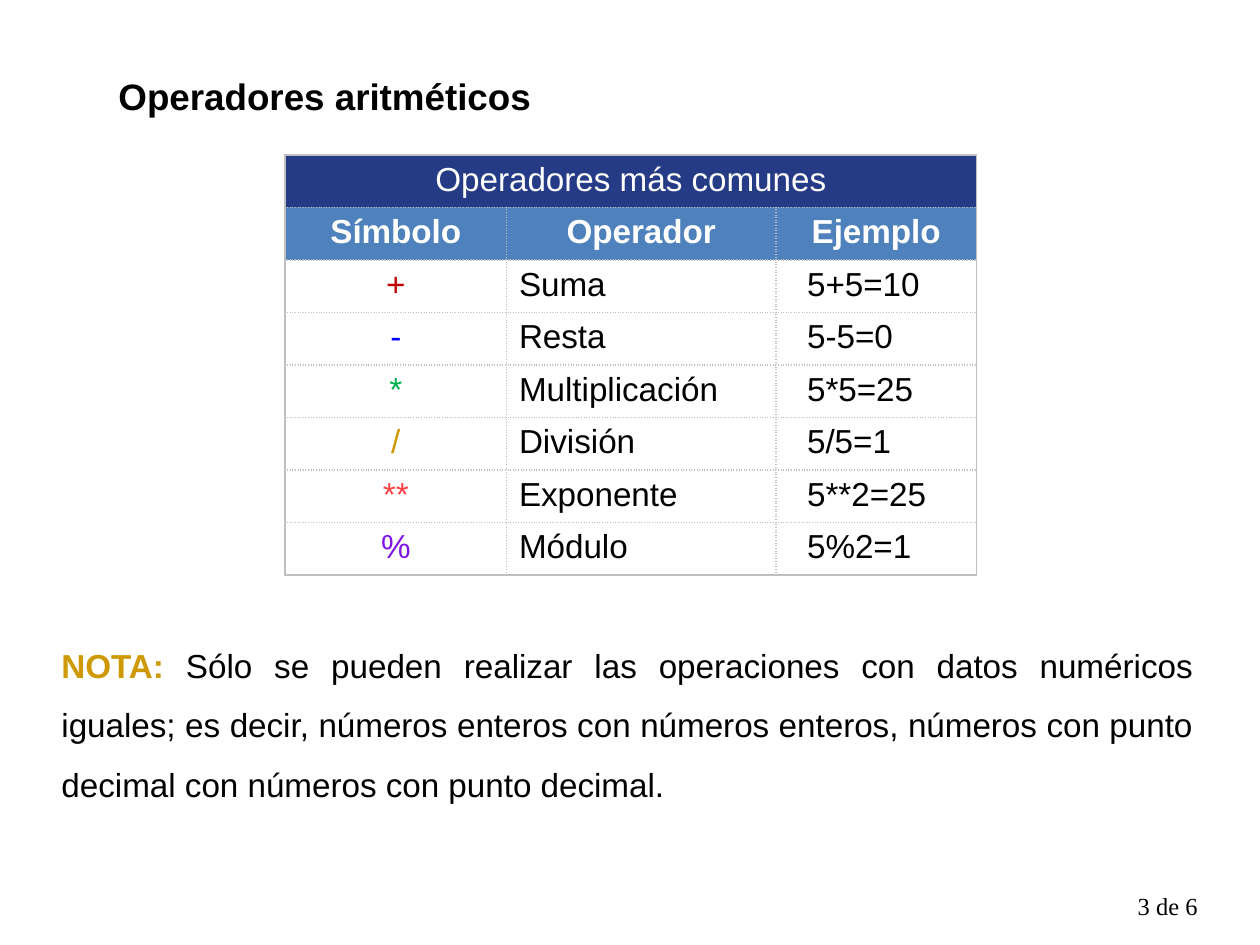
import pptx
import pptx.dml.color
import pptx.enum.text
import pptx.oxml
import pptx.oxml.ns
import pptx.util

Pt = pptx.util.Pt
RGB = pptx.dml.color.RGBColor
ALIGN = pptx.enum.text.PP_ALIGN
ANCHOR = pptx.enum.text.MSO_ANCHOR
FIT = pptx.enum.text.MSO_AUTO_SIZE

BLACK = RGB(0x00, 0x00, 0x00)
WHITE = RGB(0xFF, 0xFF, 0xFF)
NAVY = RGB(0x26, 0x3B, 0x86)
STEEL = RGB(0x4F, 0x81, 0xBD)
GREY = RGB(0xBF, 0xBF, 0xBF)
RED = RGB(0xC0, 0x00, 0x00)
BLUE = RGB(0x00, 0x00, 0xFF)
GREEN = RGB(0x00, 0xB0, 0x50)
GOLD = RGB(0xCF, 0x99, 0x04)
CORAL = RGB(0xFD, 0x42, 0x44)
PURPLE = RGB(0x7E, 0x13, 0xE3)

HEADS = ("Símbolo", "Operador", "Ejemplo")
ROWS = (
    ("+", RED, "Suma", "5+5=10"),
    ("-", BLUE, "Resta", "5-5=0"),
    ("*", GREEN, "Multiplicación", "5*5=25"),
    ("/", GOLD, "División", "5/5=1"),
    ("**", CORAL, "Exponente", "5**2=25"),
    ("%", PURPLE, "Módulo", "5%2=1"),
)


def style(para, size, color, bold=False, align=ALIGN.LEFT, face="Arial"):
    para.alignment = align
    para.font.name = face
    para.font.size = Pt(size)
    para.font.bold = bold
    para.font.color.rgb = color


def add_title(slide, box):
    title = slide.shapes.title
    title.left, title.top, title.width, title.height = map(Pt, box)
    frame = title.text_frame
    frame.auto_size = FIT.NONE
    frame.vertical_anchor = ANCHOR.TOP
    para = frame.paragraphs[0]
    para.text = "Operadores aritméticos"
    para.line_spacing = 1.5
    style(para, 21, BLACK, True, ALIGN.JUSTIFY)


def add_edges(cell, solid):
    props = cell._tc.get_or_add_tcPr()
    for spot, side in enumerate("LRTB"):
        dash = "solid" if side in solid else "sysDot"
        line = pptx.oxml.parse_xml(
            f'<a:ln{side} {pptx.oxml.ns.nsdecls("a")} w="{Pt(1)}">'
            f'<a:solidFill><a:srgbClr val="{GREY}"/></a:solidFill>'
            f'<a:prstDash val="{dash}"/></a:ln{side}>')
        props.insert(spot, line)


def fill_cell(cell, text, color, back=None, bold=False, align=ALIGN.CENTER):
    para = cell.text_frame.paragraphs[0]
    para.text = text
    style(para, 19, color, bold, align)
    if back is None:
        cell.fill.background()
    else:
        cell.fill.solid()
        cell.fill.fore_color.rgb = back


def add_grid(slide, box):
    count = len(ROWS) + 2
    left, top, width, height = box
    grid = slide.shapes.add_table(count, 3, *map(Pt, box)).table
    grid.first_row = grid.horz_banding = False
    for col, share in zip(grid.columns, (0.32, 0.39, 0.29)):
        col.width = Pt(round(width * share, 2))
    for row in grid.rows:
        row.height = Pt(height / count)

    grid.cell(0, 0).merge(grid.cell(0, 2))
    for col in range(3):
        fill_cell(grid.cell(0, col), "", WHITE, NAVY)
    fill_cell(grid.cell(0, 0), "Operadores más comunes", WHITE, NAVY)
    for col, head in enumerate(HEADS):
        fill_cell(grid.cell(1, col), head, WHITE, STEEL, True)
    for row, (sign, color, name, sample) in enumerate(ROWS, 2):
        fill_cell(grid.cell(row, 0), sign, color)
        fill_cell(grid.cell(row, 1), name, BLACK, align=ALIGN.LEFT)
        fill_cell(grid.cell(row, 2), sample, BLACK, align=ALIGN.LEFT)
        grid.cell(row, 2).margin_left = Pt(17.8)

    for row in range(count):
        for col in range(3):
            solid = {0: "L", 2: "R"}.get(col, "")
            solid += {0: "T", count - 1: "B"}.get(row, "")
            if row == 0:
                solid += "LR"
            add_edges(grid.cell(row, col), solid)


def add_note(slide, box):
    frame = slide.shapes.add_textbox(*map(Pt, box)).text_frame
    frame.word_wrap = True
    para = frame.paragraphs[0]
    para.line_spacing = 1.5
    style(para, 19, BLACK, align=ALIGN.JUSTIFY)
    label = para.add_run()
    label.text = "NOTA: "
    label.font.bold = True
    label.font.color.rgb = GOLD
    para.add_run().text = (
        "Sólo se pueden realizar las operaciones con datos numéricos iguales; "
        "es decir, números enteros con números enteros, números con punto "
        "decimal con números con punto decimal.")


def add_page(slide, box):
    frame = slide.shapes.add_textbox(*map(Pt, box)).text_frame
    para = frame.paragraphs[0]
    para.text = "3 de 6"
    style(para, 14, BLACK, face="Times New Roman")


def main():
    deck = pptx.Presentation()
    deck.slide_width, deck.slide_height = Pt(720), Pt(540)
    slide = deck.slides.add_slide(deck.slide_layouts[5])
    add_note(slide, (28, 353.5, 661, 106.5))
    add_page(slide, (643, 505.5, 49, 24.5))
    add_grid(slide, (163, 88.5, 395, 240))
    add_title(slide, (60.5, 26, 600.5, 41))
    deck.save("out.pptx")


if __name__ == "__main__":
    main()
